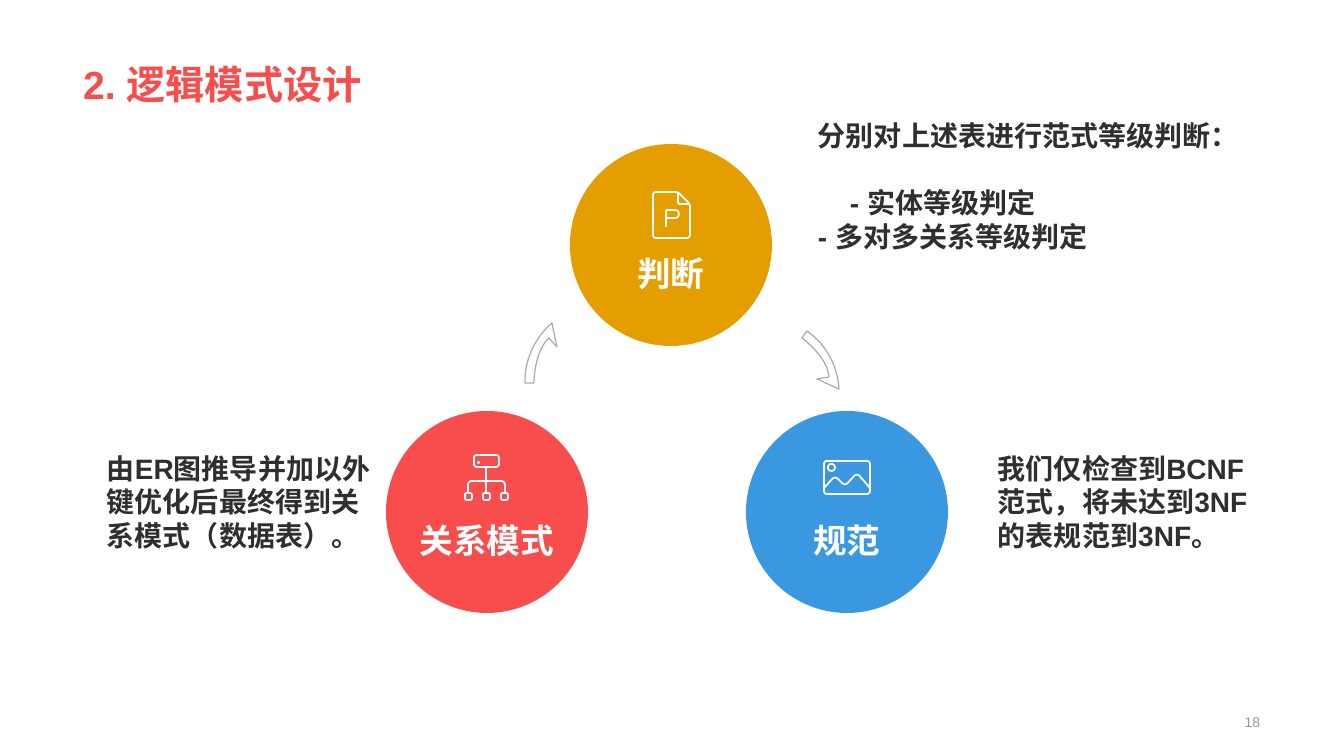
import math

from pptx import Presentation, util as u
from pptx.dml.color import RGBColor
from pptx.enum import shapes, text
from pptx.oxml import parse_xml
from pptx.oxml.ns import nsdecls, qn

PX = 914400 / 100.8
WHITE, DARK, GREY = "FFFFFF", "2F2F2F", "979797"
RED, AMBER, BLUE = "F84D4D", "E49E00", "3998E0"
LEFT, CENTER, RIGHT = text.PP_ALIGN.LEFT, text.PP_ALIGN.CENTER, text.PP_ALIGN.RIGHT
BOTTOM, MIDDLE = text.MSO_ANCHOR.BOTTOM, text.MSO_ANCHOR.MIDDLE

TITLE = "2. 逻辑模式设计"
PAGE_NUMBER = "18"
DIAMETER = 202
TAB_STOP = 32
STEPS = [  # label, colour, left, top
    ("关系模式", RED, 386, 411),
    ("判断", AMBER, 570, 144),
    ("规范", BLUE, 746, 411),
]
NOTES = [  # left, top, width, paragraphs
    (808, 146, 426, ["分别对上述表进行范式等级判断：\v\t- 实体等级判定", "- 多对多关系等级判定"]),
    (97, 445, 289, ["由ER图推导并加以外键优化后最终得到关系模式（数据表）。"]),
    (988, 445, 293, ["我们仅检查到BCNF范式，将未达到3NF的表规范到3NF。"]),
]
ARROWS = [  # outer curve, then inner curve and barb; three points bound each curve
    ([(552, 323), (524, 345), (525, 383)], [(534, 383), (534, 352), (549, 338)], (557, 347)),
    ([(839, 389), (839, 353), (807, 331)], [(802, 338), (828, 357), (829, 377)], (817, 379)),
]


def frame_points(left, top, right, bottom):
    return [(left, top), (right, top), (right, bottom), (left, bottom)]


ICONS = {  # strokes of each icon: points, corner radius, closed
    "network": [
        (frame_points(474, 455, 499, 467), 3, True),
        *[(frame_points(left, 493, left + 7, 500), 2, True) for left in (465, 483, 501)],
        ([(468, 493), (468, 481), (505, 481), (505, 493)], 4, False),
        ([(486, 467), (486, 493)], 0, False),
        (frame_points(478, 462, 479, 463), 1, True),
    ],
    "document": [
        ([(653, 192), (678, 192), (690, 204), (690, 238), (653, 238)], 3, True),
        ([(678, 192), (678, 204), (690, 204)], 2, False),
        ([(666, 227), (666, 210)], 0, False),
        ([(666, 210), (679, 210), (679, 218), (666, 218)], 4, False),
    ],
    "landscape": [
        (frame_points(824, 461, 870, 494), 3, True),
        ([(824, 488), (835, 476), (845, 486), (857, 473), (870, 488)], 4, False),
        (frame_points(828, 464, 835, 471), 4, True),
    ],
}


def px(*lengths):
    return [round(length * PX) for length in lengths]


def color(value):
    return RGBColor.from_string(value)


def style_font(para, size, value, bold=True):
    para.font.name = "Arial"
    para.font.size = u.Pt(size)
    para.font.bold = bold
    para.font.color.rgb = color(value)


def add_text(place, paragraphs, size, value, align=LEFT, anchor=BOTTOM, bold=True):
    frame = page.shapes.add_textbox(*px(*place)).text_frame
    frame.word_wrap = True
    frame.vertical_anchor = anchor
    for index, words in enumerate(paragraphs):
        para = frame.add_paragraph() if index else frame.paragraphs[0]
        para.text = words
        para.alignment = align
        if "\t" in words:
            stop = px(TAB_STOP)[0]
            para._p.get_or_add_pPr().append(parse_xml(
                f'<a:tabLst {nsdecls("a")}><a:tab pos="{stop}" algn="l"/></a:tabLst>'))
        style_font(para, size, value, bold)


def add_circle(left, top, fill):
    circle = page.shapes.add_shape(
        shapes.MSO_SHAPE.OVAL, *px(left, top, DIAMETER, DIAMETER))
    circle.shadow.inherit = False
    circle.fill.solid()
    circle.fill.fore_color.rgb = color(fill)
    circle.line.fill.background()


def curve(start, control_a, control_b, end, steps=12):
    """Points along a cubic curve."""
    result = []
    for step in range(steps + 1):
        t = step / steps
        weights = ((1 - t) ** 3, 3 * t * (1 - t) ** 2, 3 * t * t * (1 - t), t ** 3)
        corners = (start, control_a, control_b, end)
        result.append(tuple(sum(w * c[axis] for w, c in zip(weights, corners))
                            for axis in (0, 1)))
    return result


def toward(start, end, distance):
    share = min(distance / math.dist(start, end), 0.5)
    return tuple(a + (b - a) * share for a, b in zip(start, end))


def rounded(points, radius, closed):
    """Replace each corner of a line with a short arc."""
    result = []
    for index, corner in enumerate(points):
        if not closed and index in (0, len(points) - 1):
            result.append(corner)
            continue
        before = toward(corner, points[index - 1], radius)
        after = toward(corner, points[(index + 1) % len(points)], radius)
        handles = [toward(corner, side, 0.45 * math.dist(corner, side))
                   for side in (before, after)]
        result += curve(before, *handles, after, 6)
    return result


def add_outline(strokes, line, width):
    """Draw (points, closed) strokes as one unfilled shape."""
    builder = None
    for points, closed in strokes:
        start, *rest = [px(*point) for point in points]
        if builder is None:
            builder = page.shapes.build_freeform(*start, scale=1.0)
        else:
            builder.move_to(*start)
        builder.add_line_segments(rest, close=closed)
    outline = builder.convert_to_shape()
    outline.shadow.inherit = False
    outline.fill.background()
    outline.line.color.rgb = color(line)
    outline.line.width = u.Pt(width)
    return outline


deck = Presentation()
deck.slide_width, deck.slide_height = px(1344, 756)
page = deck.slides.add_slide(deck.slide_layouts[5])

title = page.shapes.title
title.left, title.top, title.width, title.height = px(73, 0, 1197, 113)
title.text_frame.text = TITLE
title.text_frame.word_wrap = True
title.text_frame.vertical_anchor = BOTTOM
heading = title.text_frame.paragraphs[0]
heading.alignment = LEFT
heading.line_spacing = 0.9
style_font(heading, 28, RED)

add_text((977, 710, 293, 24), [PAGE_NUMBER], 10, GREY, RIGHT, MIDDLE, bold=False)

for outer, inner, barb in ARROWS:
    points = [*curve(outer[0], *outer), *curve(inner[0], *inner), barb]
    arrow = add_outline([(points, True)], DARK, 0.88)
    tint = arrow.line._get_or_add_ln().find(".//" + qn("a:srgbClr"))
    tint.append(parse_xml(f'<a:alpha {nsdecls("a")} val="40000"/>'))

for label, fill, left, top in STEPS:
    add_circle(left, top, fill)
    add_text((left + 16, top + 104, 170, 50), [label], 24, WHITE, CENTER)

for strokes in ICONS.values():
    add_outline([(rounded(points, radius, closed), closed)
                 for points, radius, closed in strokes], WHITE, 1.25)

for left, top, width, paragraphs in NOTES:
    add_text((left, top, width, 112), paragraphs, 20, DARK)

deck.save("out.pptx")
